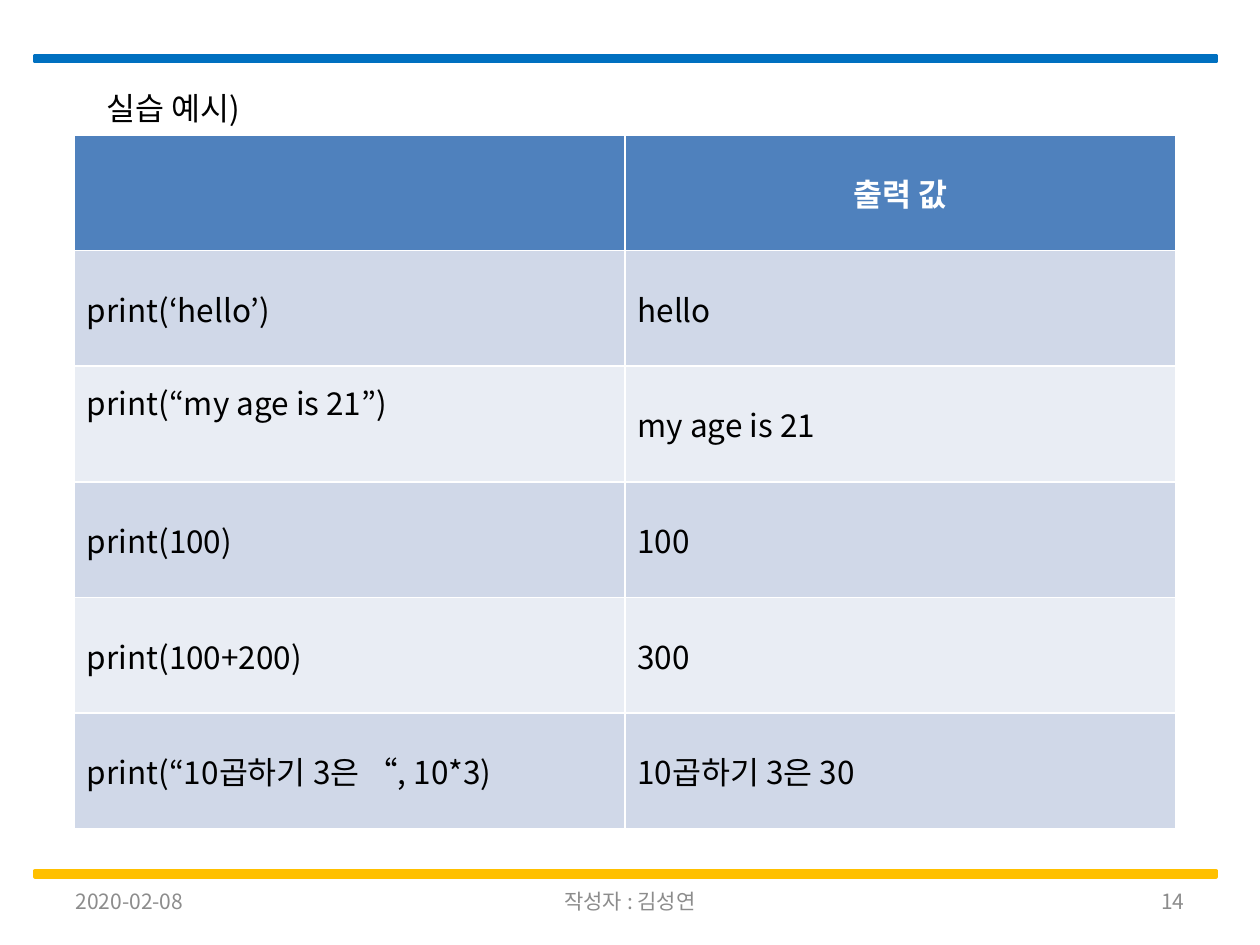
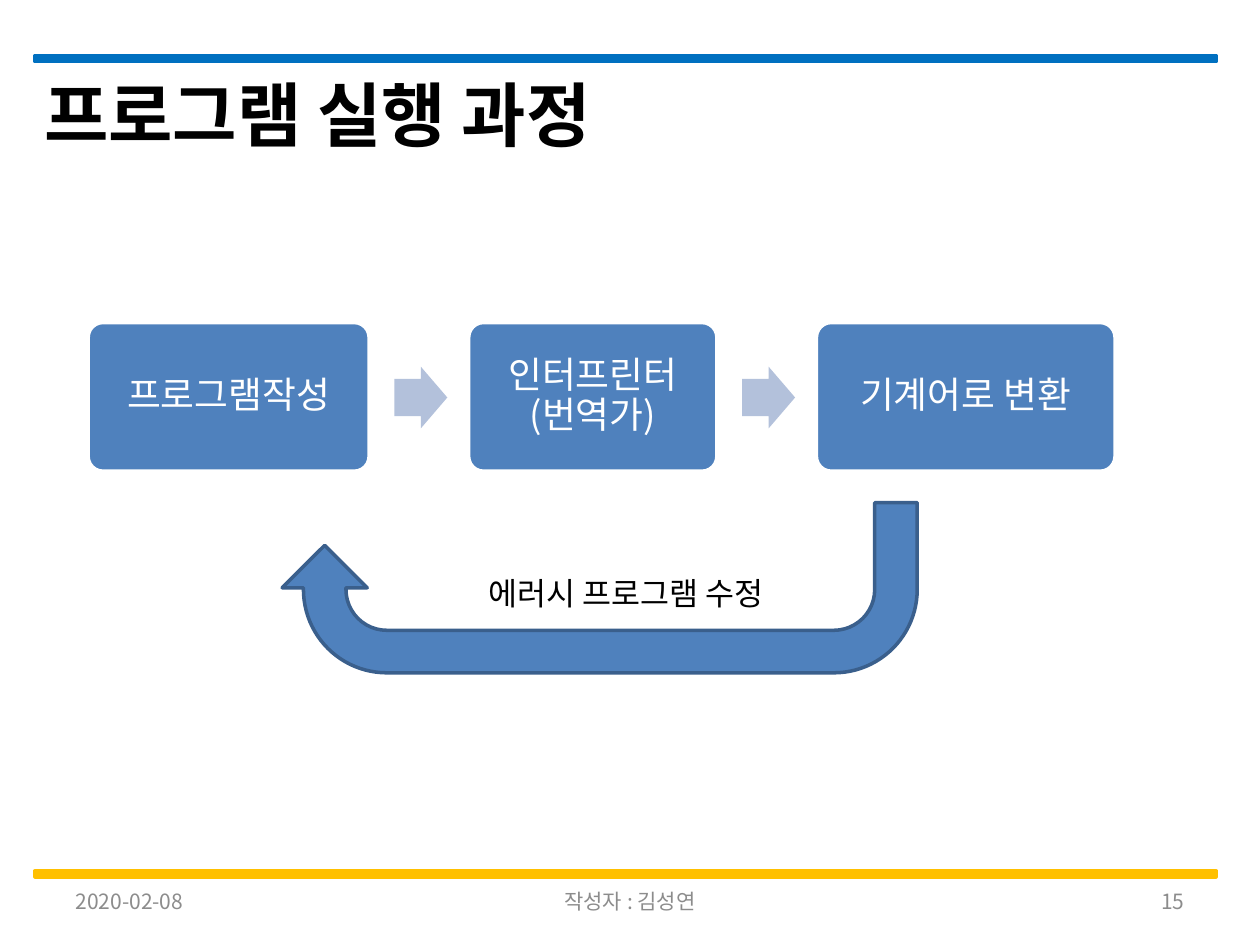
from copy import deepcopy

from lxml.etree import SubElement
from pptx import Presentation
from pptx.dml.color import RGBColor
from pptx.enum.shapes import MSO_SHAPE, PP_PLACEHOLDER
from pptx.enum.text import MSO_ANCHOR, MSO_AUTO_SIZE, PP_ALIGN
from pptx.oxml.ns import qn
from pptx.util import Inches, Pt

FONT = "Noto Sans CJK KR"
BLACK = RGBColor(0x00, 0x00, 0x00)
WHITE = RGBColor(0xFF, 0xFF, 0xFF)
GREY = RGBColor(0x8C, 0x8C, 0x8C)
GOLD = RGBColor(0xFF, 0xC0, 0x00)
AZURE = RGBColor(0x00, 0x70, 0xC0)
BLUE = RGBColor(0x4F, 0x81, 0xBD)
DARK_BLUE = RGBColor(0x3A, 0x5F, 0x8C)
PALE_BLUE = RGBColor(0xB3, 0xC1, 0xDB)
ROW_FILLS = (RGBColor(0xD0, 0xD8, 0xE8), RGBColor(0xE9, 0xED, 0xF4))

GRID_COLUMNS, GRID_ROWS = 100, 75
TITLE_ONLY, BLANK = 5, 6

TITLE = {"size": Pt(40), "bold": True}
BODY = {"size": Pt(18), "bold": False}
HEADER = {"size": Pt(18), "bold": True}
STEP = {"size": Pt(21)}
FOOTER = {"size": Pt(12)}
LEFT = {"alignment": PP_ALIGN.LEFT}
CENTER = {"alignment": PP_ALIGN.CENTER}
RIGHT = {"alignment": PP_ALIGN.RIGHT}

PRACTICE = [
    ("", "출력 값"),
    ("print(‘hello’)", "hello"),
    ("print(“my age is 21”)", "my age is 21"),
    ("print(100)", "100"),
    ("print(100+200)", "300"),
    ("print(“10곱하기 3은 “, 10*3)", "10곱하기 3은 30"),
]
STEPS = [("프로그램작성", 22.3), ("인터프린터\v(번역가)", 19.7), ("기계어로 변환", 23.7)]


class Deck:
    """Lesson slides laid out on a grid of columns and rows, in one shared style."""

    def __init__(self):
        self.presentation = Presentation()
        self.presentation.slide_width = Inches(10)
        self.presentation.slide_height = Inches(7.5)
        self.column = self.presentation.slide_width / GRID_COLUMNS
        self.row = self.presentation.slide_height / GRID_ROWS
        self.slide = None

    def area(self, left, top, width, height):
        return (round(left * self.column), round(top * self.row),
                round(width * self.column), round(height * self.row))

    def set_text(self, frame, text, font_format, color, paragraph_format=LEFT):
        frame.text = text
        for paragraph in frame.paragraphs:
            for name, value in paragraph_format.items():
                setattr(paragraph, name, value)
            for run in paragraph.runs:
                for name, value in font_format.items():
                    setattr(run.font, name, value)
                run.font.color.rgb = color
                run.font.name = FONT
                SubElement(run.font._element, qn("a:ea"), typeface=FONT)

    def add_slide(self, number, layout):
        self.slide = self.presentation.slides.add_slide(self.presentation.slide_layouts[layout])
        footers = {
            PP_PLACEHOLDER.DATE: ("2020-02-08", LEFT),
            PP_PLACEHOLDER.FOOTER: ("작성자 : 김성연", CENTER),
            PP_PLACEHOLDER.SLIDE_NUMBER: (str(number), RIGHT),
        }
        for source in self.slide.slide_layout.placeholders:
            if source.placeholder_format.type in footers:
                text, alignment = footers[source.placeholder_format.type]
                self.slide.shapes.element.append(deepcopy(source.element))
                footer = self.slide.shapes[-1]
                self.set_text(footer.text_frame, text, FOOTER, GREY, alignment)

    def shape(self, kind, area, fill, line=None, adjustments=()):
        shape = self.slide.shapes.add_shape(kind, *self.area(*area))
        shape.shadow.inherit = False
        shape.fill.solid()
        shape.fill.fore_color.rgb = fill
        if line is None:
            shape.line.fill.background()
        else:
            shape.line.color.rgb = line
            shape.line.width = Pt(2)
        for index, value in enumerate(adjustments):
            shape.adjustments[index] = value
        return shape

    def master_bands(self):
        for top, color in ((69.1, GOLD), (4.4, AZURE)):
            band = self.shape(MSO_SHAPE.RECTANGLE, (2.8, top, 93.7, 0.5), color, color)
            self.presentation.slide_master.shapes.element.append(band.element)

    def title(self, text, area):
        title = self.slide.shapes.title
        title.left, title.top, title.width, title.height = self.area(*area)
        frame = title.text_frame
        frame.vertical_anchor = MSO_ANCHOR.TOP
        frame.auto_size = MSO_AUTO_SIZE.SHAPE_TO_FIT_TEXT
        self.set_text(frame, text, TITLE, BLACK)

    def label(self, text, area):
        frame = self.slide.shapes.add_textbox(*self.area(*area)).text_frame
        frame.word_wrap = False
        frame.auto_size = MSO_AUTO_SIZE.SHAPE_TO_FIT_TEXT
        self.set_text(frame, text, BODY, BLACK)

    def table(self, rows, area):
        table = self.slide.shapes.add_table(len(rows), len(rows[0]), *self.area(*area)).table
        for row, texts in enumerate(rows):
            fill = ROW_FILLS[(row - 1) % 2] if row else BLUE
            style = (BODY, BLACK, LEFT) if row else (HEADER, WHITE, CENTER)
            for column, text in enumerate(texts):
                cell = table.cell(row, column)
                cell.vertical_anchor = MSO_ANCHOR.MIDDLE
                cell.fill.solid()
                cell.fill.fore_color.rgb = fill
                self.set_text(cell.text_frame, text, *style)
        return table

    def process(self, steps, left, top, height, gap):
        for index, (text, width) in enumerate(steps):
            if index:
                self.shape(MSO_SHAPE.RIGHT_ARROW, (left - gap + 2, top + 3.5, 4.2, 4.9),
                           PALE_BLUE, adjustments=(0.6, 0.5))
            box = self.shape(MSO_SHAPE.ROUNDED_RECTANGLE, (left, top, width, height),
                             BLUE, WHITE, (0.1,))
            box.text_frame.word_wrap = True
            box.text_frame.vertical_anchor = MSO_ANCHOR.MIDDLE
            self.set_text(box.text_frame, text, STEP, WHITE, {**CENTER, "line_spacing": 0.9})
            left += width + gap

    def return_arrow(self, area):
        arrow = self.shape(MSO_SHAPE.U_TURN_ARROW, area, BLUE, DARK_BLUE,
                           (0.25, 0.25, 0.25, 0.49, 0.75))
        for flip in ("flipH", "flipV"):
            arrow.element.spPr.xfrm.set(flip, "1")


deck = Deck()

deck.add_slide(14, BLANK)
deck.master_bands()
practice = deck.table(PRACTICE, (5.9, 10.7, 87.4, 55.1))
practice.cell(2, 0).margin_bottom = Inches(0.4)
deck.label("실습 예시)", (7.5, 6.6, 13.8, 4))

deck.add_slide(15, TITLE_ONLY)
deck.title("프로그램 실행 과정", (2.5, 5.2, 80.3, 7.7))
deck.process(STEPS, left=7, top=25.6, height=11.8, gap=7.9)
deck.return_arrow((22.4, 39.9, 50.4, 13.5))
deck.label("에러시 프로그램 수정", (37.8, 45.1, 26.5, 4))

deck.presentation.save("out.pptx")
